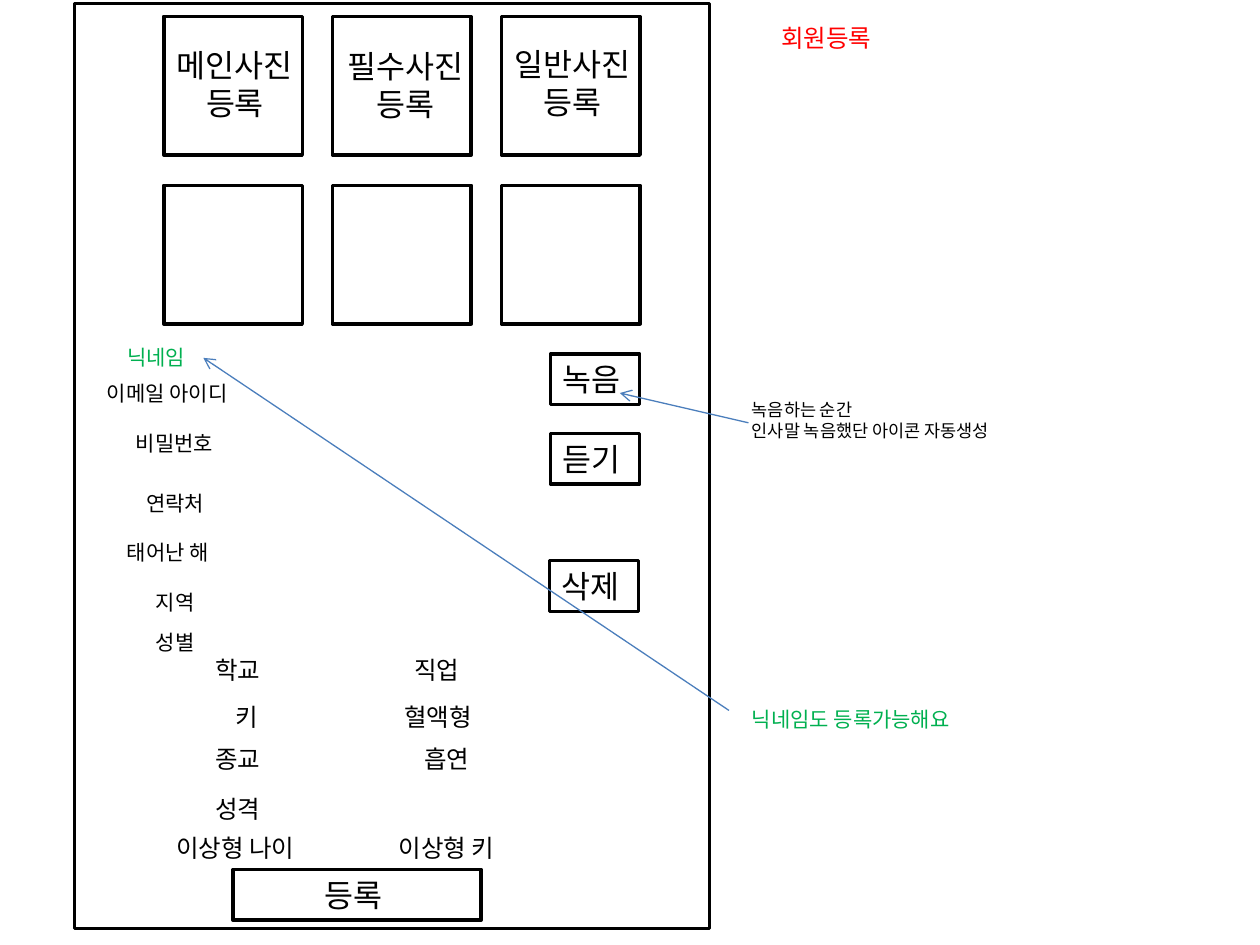
"""Build the member registration screen wireframe with its annotations."""
import pptx
import pptx.dml.color
import pptx.enum.shapes
import pptx.enum.text
import pptx.oxml.ns
import pptx.util
from lxml import etree

Pt = pptx.util.Pt
qn = pptx.oxml.ns.qn
ALIGN = pptx.enum.text.PP_ALIGN
BLACK = pptx.dml.color.RGBColor(0x00, 0x00, 0x00)
RED = pptx.dml.color.RGBColor(0xFF, 0x00, 0x00)
GREEN = pptx.dml.color.RGBColor(0x00, 0xB0, 0x50)
BLUE = pptx.dml.color.RGBColor(0x4B, 0x7E, 0xBC)
FONT = "Noto Sans CJK KR"

prs = pptx.Presentation()
prs.slide_width, prs.slide_height = Pt(720), Pt(540)
slide = prs.slides.add_slide(prs.slide_layouts[6])


def add_text(text, left, top, width, height, size=14, color=BLACK, align=ALIGN.LEFT, tab=None):
    box = slide.shapes.add_textbox(Pt(left), Pt(top), Pt(width), Pt(height))
    frame = box.text_frame
    frame.word_wrap = tab is not None
    frame.auto_size = pptx.enum.text.MSO_AUTO_SIZE.SHAPE_TO_FIT_TEXT
    frame.text = text
    for paragraph in frame.paragraphs:
        paragraph.alignment = align
        if tab is not None:
            stops = etree.SubElement(paragraph._p.get_or_add_pPr(), qn("a:tabLst"))
            etree.SubElement(stops, qn("a:tab"), pos=str(Pt(tab)), algn="l")
        for run in paragraph.runs:
            run.font.name = FONT
            run.font.size = Pt(size)
            run.font.color.rgb = color
            east_asian = etree.Element(qn("a:ea"), typeface=FONT)
            run.font._element.find(qn("a:latin")).addnext(east_asian)


def add_outline(left, top, width, height):
    outline = slide.shapes.add_shape(
        pptx.enum.shapes.MSO_SHAPE.RECTANGLE, Pt(left), Pt(top), Pt(width), Pt(height))
    outline.shadow.inherit = False
    outline.fill.background()
    outline.line.color.rgb = BLACK
    outline.line.width = Pt(2)


add_outline(42.5, 2, 363, 528.5)

for label, left, top, width in [
    ("학교", 116, 371, 42.5), ("직업", 229.7, 371, 42.5),
    ("키", 127.4, 397.4, 28.8), ("혈액형", 224, 397.4, 56.9),
    ("종교", 116, 421.5, 42.5), ("흡연", 235.4, 421.5, 42.5),
    ("성격", 116, 450, 42.5),
]:
    add_text(label, left, top, width, 24.5)
add_text("이상형 나이\t이상형 키", 93.6, 472.3, 225.4, 24.5, tab=127.2)

for label, left, top, width, color in [
    ("닉네임", 65.5, 193.5, 51, GREEN),
    ("이메일 아이디", 54, 214, 91.4, BLACK),
    ("비밀번호", 70.6, 242.6, 63.4, BLACK),
    ("연락처", 76.5, 276.7, 51, BLACK),
    ("태어난 해", 65.5, 304.8, 67, BLACK),
    ("지역", 82, 333.5, 38.9, BLACK),
    ("성별", 82, 356, 38.9, BLACK),
]:
    add_text(label, left, top, width, 21.6, size=12, color=color)

photo_size, photo_pitch = 79.2, 96.5
for row in range(2):
    for column in range(3):
        add_outline(93.6 + column * photo_pitch, 9.4 + row * photo_pitch, photo_size, photo_size)
for photo, left, top in [("메인사진", 90.7, 23), ("필수사진", 188.3, 23.2), ("일반사진", 283.7, 22.3)]:
    add_text(f"{photo}\n등록", left, top, 87.1, 51, size=18, align=ALIGN.CENTER)

for label, left, top in [("녹음", 314.6, 202.3), ("듣기", 314.6, 247.7), ("삭제", 313.9, 320.4)]:
    add_outline(left, top, 51, 29)
    add_text(label, left, top, 51, 29, size=18)
add_outline(133.2, 496.8, 141.8, 29)
add_text("등록", 178.6, 496.8, 51, 29, size=18)

add_text("회원등록", 439.2, 9.4, 71.3, 24.5, color=RED)
add_text("녹음하는 순간\n인사말 녹음했단 아이콘 자동생성", 422.6, 224.6, 166.3, 31.7, size=10)
add_text("닉네임도 등록가능해요", 422.6, 400.3, 139.7, 21.6, size=12, color=GREEN)

for start_x, start_y, end_x, end_y in [(427.7, 241.6, 354.2, 224.6), (416.6, 406, 116.2, 204.5)]:
    arrow = slide.shapes.add_connector(
        pptx.enum.shapes.MSO_CONNECTOR.STRAIGHT, Pt(start_x), Pt(start_y), Pt(end_x), Pt(end_y))
    arrow.line.color.rgb = BLUE
    arrow.line.width = Pt(0.75)
    etree.SubElement(arrow.line._get_or_add_ln(), qn("a:tailEnd"), type="arrow")
    etree.SubElement(arrow._element.spPr, qn("a:effectLst"))

prs.save("out.pptx")
